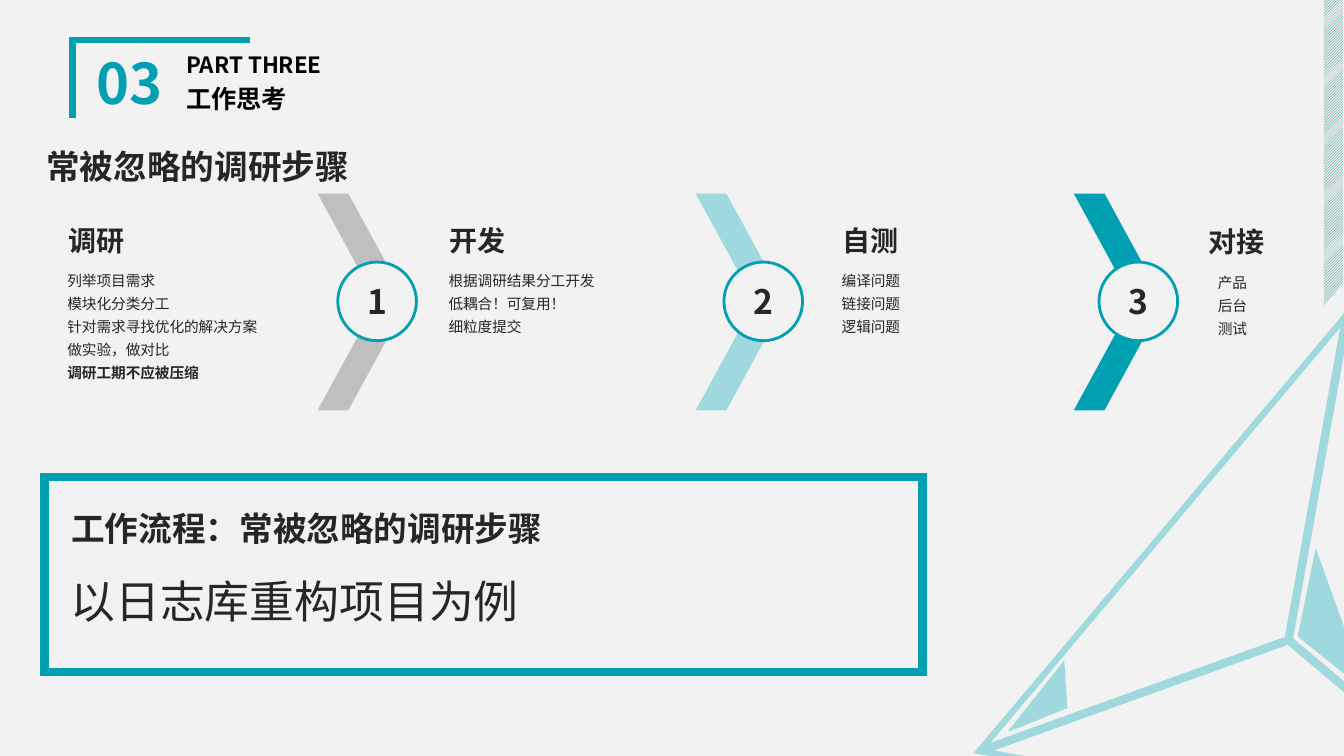
"""Build a slide on the research step that work processes often skip."""
from dataclasses import dataclass

from lxml import etree
from pptx import Presentation
from pptx.dml.color import RGBColor
from pptx.enum import dml, shapes, text
from pptx.oxml import ns
from pptx.util import Inches, Pt


@dataclass(frozen=True)
class Theme:
    """Colours, font and type sizes of the slide."""
    background: str = "F2F2F2"
    teal: str = "009FB1"
    pale: str = "9FD9DE"
    grey: str = "BFBFBF"
    ink: str = "262626"
    black: str = "000000"
    stripe: str = "1A9895"
    stripe_back: str = "E9E9E9"
    font: str = "Noto Sans CJK SC"
    body: float = 10.5
    label: float = 16
    section_name: float = 18
    step: float = 20
    heading: float = 24
    example: float = 32
    section_number: float = 40


THEME = Theme()
ALIGN = text.PP_ALIGN
ANCHOR = text.MSO_ANCHOR


def color(value):
    """Turn a hex string into a colour."""
    return RGBColor.from_string(value)


def write(shape, lines, size=THEME.body, ink=THEME.ink, bold=False, bold_last=False,
          align=ALIGN.LEFT, anchor=ANCHOR.TOP, spacing=1.0, before=0, wrap=True):
    """Fill a shape with one paragraph per line of text."""
    frame = shape.text_frame
    frame.auto_size = text.MSO_AUTO_SIZE.NONE
    frame.word_wrap = wrap
    frame.vertical_anchor = anchor
    lines = lines.split("\n")
    for index, line in enumerate(lines):
        paragraph = frame.add_paragraph() if index else frame.paragraphs[0]
        paragraph.alignment = align
        paragraph.line_spacing = spacing
        paragraph.space_before = Pt(before)
        run = paragraph.add_run()
        run.text = line
        font = run.font
        font.size = Pt(size)
        font.bold = bold or (bold_last and index == len(lines) - 1)
        font.color.rgb = color(ink)
        font.name = THEME.font
        east_asian = etree.SubElement(font._element, ns.qn("a:ea"))
        east_asian.set("typeface", THEME.font)


def paint(shape, fill=None, line=None, width=1):
    """Set fill and outline, and take away the shadow."""
    shape.shadow.inherit = False
    if fill:
        shape.fill.solid()
        shape.fill.fore_color.rgb = color(fill)
    else:
        shape.fill.background()
    if line:
        shape.line.color.rgb = color(line)
        shape.line.width = Pt(width)
        miter = etree.SubElement(shape.line._get_or_add_ln(), ns.qn("a:miter"))
        miter.set("lim", "800000")
    else:
        shape.line.fill.background()


def add_text(slide, box, lines, **style):
    """Add a text box."""
    shape = slide.shapes.add_textbox(*map(Inches, box))
    write(shape, lines, **style)


def add_preset(slide, kind, box, rotation=0, **style):
    """Add a painted preset shape."""
    shape = slide.shapes.add_shape(kind, *map(Inches, box))
    shape.rotation = rotation
    paint(shape, **style)
    return shape


def add_outline(slide, points, close, **style):
    """Add a painted freeform through the points."""
    start, *rest = [(Inches(x), Inches(y)) for x, y in points]
    builder = slide.shapes.build_freeform(*start)
    builder.add_line_segments(rest, close=close)
    paint(builder.convert_to_shape(), **style)


def add_line(slide, start, end, ink, width):
    """Add a straight line without shadow."""
    line = slide.shapes.add_connector(shapes.MSO_CONNECTOR.STRAIGHT,
                                      *map(Inches, (*start, *end)))
    line.line.color.rgb = color(ink)
    line.line.width = Pt(width)
    etree.SubElement(line._element.spPr, ns.qn("a:effectLst"))


def add_stripe(slide):
    """Add the hatched strip at the right edge."""
    strip = add_preset(slide, shapes.MSO_SHAPE.RECTANGLE, (13.13, 0, 0.19, 7.5))
    strip.fill.patterned()
    strip.fill.pattern = dml.MSO_PATTERN.LIGHT_UPWARD_DIAGONAL
    strip.fill.fore_color.rgb = color(THEME.stripe)
    strip.fill.back_color.rgb = color(THEME.stripe_back)


def add_pyramid(slide):
    """Add the outlined pyramid in the lower right corner."""
    triangle = shapes.MSO_SHAPE.ISOSCELES_TRIANGLE
    tilt = 250.2
    add_preset(slide, triangle, (8.65, 3.86, 6.53, 5.63), tilt, fill=THEME.background)
    add_preset(slide, triangle, (9.18, 4.17, 5.68, 4.9), tilt,
               fill=THEME.background, line=THEME.pale, width=4.5)
    for corner in ((9.72, 7.45), (15.29, 8.46), (13.36, 3.11)):
        add_line(slide, corner, (12.78, 6.35), THEME.pale, 6)
    add_preset(slide, triangle, (12.35, 6.01, 1.48, 0.45), tilt,
               fill=THEME.pale, line=THEME.pale)
    add_outline(slide, [(10.58, 7.02), (10.55, 6.57), (10.01, 7.25)], True,
                fill=THEME.pale, line=THEME.pale)


def add_section_mark(slide):
    """Add the bracket, section number and section name."""
    add_outline(slide, [(0.72, 1.17), (0.72, 0.4), (2.48, 0.4)], False,
                line=THEME.teal, width=4.5)
    label = dict(bold=True, anchor=ANCHOR.MIDDLE, spacing=0.9, before=10)
    add_text(slide, (0.82, 0.49, 0.93, 0.73), "03", size=THEME.section_number,
             ink=THEME.teal, align=ALIGN.CENTER, **label)
    add_text(slide, (1.75, 0.49, 2.67, 0.34), "PART THREE", size=THEME.label,
             ink=THEME.black, **label)
    add_text(slide, (1.75, 0.78, 2.67, 0.44), "工作思考", size=THEME.section_name,
             ink=THEME.black, **label)


def add_arrow(slide, number, fill, circle_left):
    """Add a chevron with its numbered circle."""
    left = 3.15 + 3.75 * (number - 1)
    chevron = add_preset(slide, shapes.MSO_SHAPE.CHEVRON, (left, 1.92, 0.89, 2.15), fill=fill)
    chevron.adjustments[0] = 0.658
    circle = add_preset(slide, shapes.MSO_SHAPE.OVAL, (circle_left, 2.6, 0.78, 0.78),
                        fill=THEME.background, line=THEME.teal, width=2)
    write(circle, str(number), size=THEME.heading, bold=True,
          align=ALIGN.CENTER, anchor=ANCHOR.MIDDLE)


def add_step(slide, name, name_at, details, details_at, **style):
    """Add a step name and its lines of detail."""
    add_text(slide, (*name_at, 0.76, 0.44), name, size=THEME.step, bold=True, wrap=False)
    height = 0.08 + 0.23 * len(details.split("\n"))
    add_text(slide, (*details_at, 2.35, height), details, spacing=1.3, **style)


def add_summary(slide):
    """Add the framed summary."""
    add_text(slide, (0.61, 4.99, 4.91, 0.5), "工作流程：常被忽略的调研步骤",
             size=THEME.heading, bold=True, wrap=False)
    add_text(slide, (0.6, 5.48, 7.92, 0.73), "以日志库重构项目为例",
             size=THEME.example, align=ALIGN.JUSTIFY, spacing=1.3)
    add_preset(slide, shapes.MSO_SHAPE.RECTANGLE, (0.44, 4.73, 8.71, 1.94),
               line=THEME.teal, width=6)


def main():
    """Build and save the slide."""
    presentation = Presentation()
    presentation.slide_width = Inches(13.33)
    presentation.slide_height = Inches(7.5)
    slide = presentation.slides.add_slide(presentation.slide_layouts[5])
    slide.background.fill.solid()
    slide.background.fill.fore_color.rgb = color(THEME.background)

    add_stripe(slide)
    add_pyramid(slide)
    add_section_mark(slide)
    title = slide.shapes.title
    title.left, title.top, title.width, title.height = map(Inches, (0.36, 1.4, 3.23, 0.5))
    write(title, "常被忽略的调研步骤", size=THEME.heading, bold=True, wrap=False)

    arrows = ((THEME.grey, 3.35), (THEME.pale, 7.18), (THEME.teal, 10.9))
    for number, (fill, circle_left) in enumerate(arrows, 1):
        add_arrow(slide, number, fill, circle_left)
    add_step(slide, "调研", (0.58, 2.17), "列举项目需求\n模块化分类分工\n针对需求寻找优化的解决方案\n"
             "做实验，做对比\n调研工期不应被压缩", (0.57, 2.6), bold_last=True)
    add_step(slide, "开发", (4.36, 2.17), "根据调研结果分工开发\n低耦合！可复用！\n细粒度提交", (4.35, 2.6))
    add_step(slide, "自测", (8.26, 2.17), "编译问题\n链接问题\n逻辑问题", (8.25, 2.6))
    add_step(slide, "对接", (11.89, 2.18), "产品\n后台\n测试", (11.98, 2.62))
    add_summary(slide)
    presentation.save("out.pptx")


if __name__ == "__main__":
    main()
